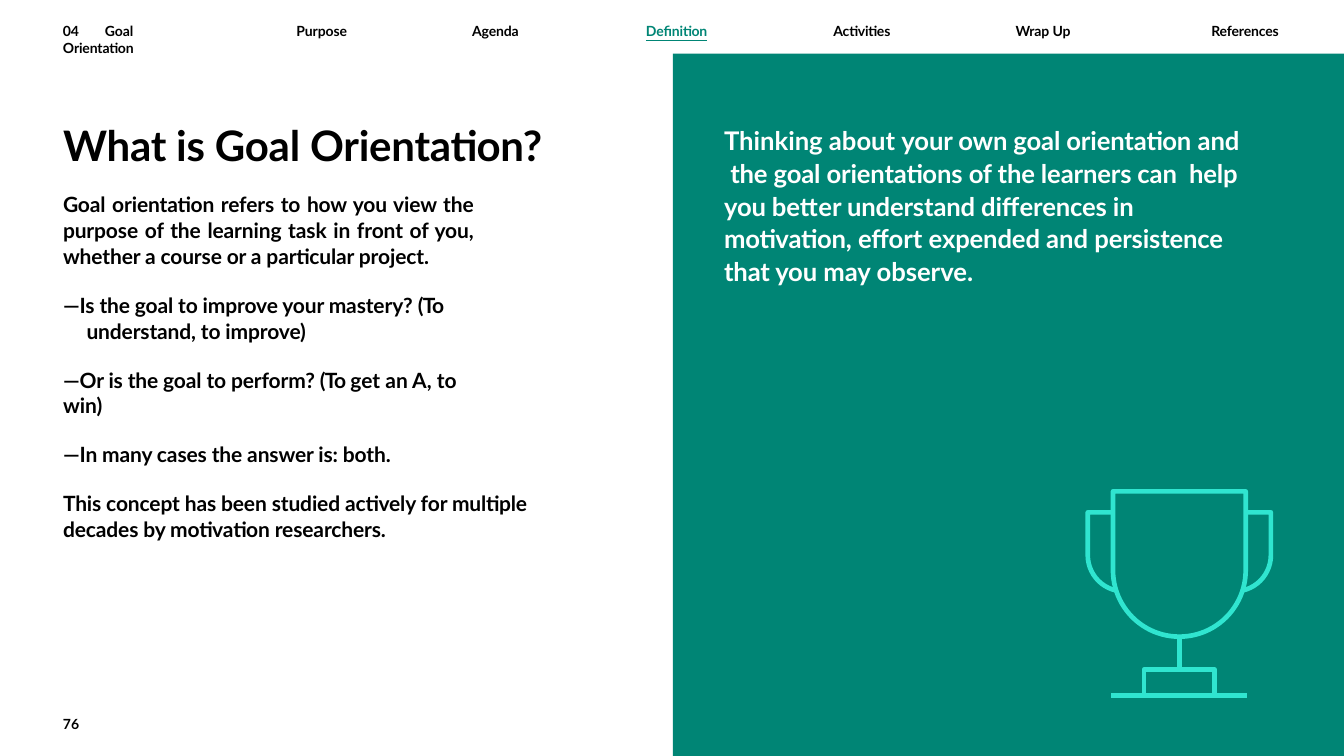
import math
from dataclasses import dataclass

import pptx
import pptx.dml.color
import pptx.enum.shapes
import pptx.enum.text
import pptx.oxml
import pptx.oxml.ns
import pptx.util

FONT = "Lato"
COLORS = {"ink": "000000", "teal": "008575", "paper": "FFFFFF", "mint": "30E5D0"}
COLUMNS, ROWS = 16, 9
COLUMN = ROW = pptx.util.Inches(1)
LEFT_MARGIN = 0.75
TOP_MARGIN = 0.27
NAV_HEIGHT = 0.21

Point = tuple[float, float]


@dataclass(frozen=True)
class Span:
    text: str
    tracking: float = -0.1


@dataclass(frozen=True)
class Statement:
    spans: tuple[Span, ...]
    justified: bool = False
    right_indent: float = 0
    hanging: float = 0


@dataclass(frozen=True)
class NavItem:
    label: str
    column: float
    width: float
    active: bool = False


@dataclass(frozen=True)
class TextStyle:
    size: float
    color: str = "ink"
    line_spacing: float = 1.0
    space_between: float = 0
    underline: bool = False


NAV_ITEMS = (
    NavItem("04\tGoal Orientation", LEFT_MARGIN, 1.7),
    NavItem("Purpose", 3.53, 0.7),
    NavItem("Agenda", 5.62, 0.65),
    NavItem("Definition", 7.69, 0.8, active=True),
    NavItem("Activities", 9.92, 0.75),
    NavItem("Wrap Up", 12.09, 0.75),
    NavItem("References", 14.42, 0.9),
)

QUESTION_INDENT = 0.89
EXPLANATION = (
    Statement((Span("Goal orientation refers to how you view the purpose of the learning "
                    "task in front of you, whether a course or a particular project."),),
              justified=True, right_indent=QUESTION_INDENT),
    Statement((Span("—Is the goal to improve your mastery? "), Span("(To ", -0.7),
               Span("understand, to improve)")),
              right_indent=QUESTION_INDENT, hanging=0.28),
    Statement((Span("—Or is the goal to perform? "), Span("(To ", -0.7),
               Span("get an A, to win)", 0)),
              right_indent=QUESTION_INDENT),
    Statement((Span("—In many cases the answer is: both."),)),
    Statement((Span("This concept has been studied actively for multiple "
                    "decades by motivation researchers."),)),
)

REFLECTION = (
    Statement((
        Span("Thinking about ", 0), Span("your own goal orientation "), Span("and  ", 0),
        Span("the goal orientations "), Span("of ", -0.2),
        Span("the learners can  help you better understand differences in motivation, "),
        Span("effort ", 0), Span("expended "), Span("and ", 0),
        Span("persistence that you "), Span("may observe.", 0),
    )),
)


def across(columns: float) -> int:
    return round(columns * COLUMN)


def down(rows: float) -> int:
    return round(rows * ROW)


def rgb(name: str) -> pptx.dml.color.RGBColor:
    return pptx.dml.color.RGBColor.from_string(COLORS[name])


def place(shape, left: float, top: float, width: float, height: float) -> None:
    shape.left, shape.top = across(left), down(top)
    shape.width, shape.height = across(width), down(height)


def write(shape, statements: tuple[Statement, ...], style: TextStyle) -> None:
    frame = shape.text_frame
    frame.word_wrap = True
    frame.auto_size = pptx.enum.text.MSO_AUTO_SIZE.NONE
    frame.vertical_anchor = pptx.enum.text.MSO_ANCHOR.TOP
    frame.margin_left = frame.margin_right = frame.margin_top = frame.margin_bottom = 0
    align = pptx.enum.text.PP_ALIGN
    for index, statement in enumerate(statements):
        paragraph = frame.add_paragraph() if index else frame.paragraphs[0]
        paragraph.alignment = align.JUSTIFY if statement.justified else align.LEFT
        paragraph.line_spacing = style.line_spacing
        if index:
            paragraph.space_before = pptx.util.Pt(style.space_between)
        properties = paragraph._p.get_or_add_pPr()
        properties.set("marR", str(across(statement.right_indent)))
        properties.set("marL", str(across(statement.hanging)))
        properties.set("indent", str(-across(statement.hanging)))
        for span in statement.spans:
            run = paragraph.add_run()
            run.text = span.text
            run.font.name = FONT
            run.font.size = pptx.util.Pt(style.size)
            run.font.bold = True
            run.font.underline = style.underline
            run.font.color.rgb = rgb(style.color)
            run._r.get_or_add_rPr().set("spc", str(round(span.tracking * 100)))


def add_text(slide, left: float, top: float, width: float, height: float,
             statements: tuple[Statement, ...], style: TextStyle):
    box = slide.shapes.add_textbox(0, 0, 0, 0)
    place(box, left, top, width, height)
    write(box, statements, style)
    return box


def add_nav_item(slide, item: NavItem) -> None:
    style = TextStyle(12, "teal" if item.active else "ink", underline=item.active)
    box = add_text(slide, item.column, TOP_MARGIN, item.width, NAV_HEIGHT,
                   (Statement((Span(item.label),)),), style)
    if "\t" in item.label:
        tabs = pptx.oxml.parse_xml(
            f'<a:tabLst {pptx.oxml.ns.nsdecls("a")}>'
            f'<a:tab pos="{across(0.37)}" algn="l"/></a:tabLst>')
        box.text_frame.paragraphs[0]._p.get_or_add_pPr().append(tabs)


def stroke(shape) -> None:
    shape.line.color.rgb = rgb("mint")
    shape.line.width = pptx.util.Pt(4)


def arc(center: Point, radius: float, start: int, end: int, steps: int) -> list[Point]:
    """Points along a circle, in degrees clockwise from the right."""
    angles = [math.radians(start + (end - start) * i / steps) for i in range(steps + 1)]
    return [(center[0] + radius * math.cos(a), center[1] + radius * math.sin(a))
            for a in angles]


def add_outline(slide, points: list[Point], closed: bool = False) -> None:
    (first_x, first_y), *rest = [(across(x), down(y)) for x, y in points]
    builder = slide.shapes.build_freeform(first_x, first_y, scale=1.0)
    builder.add_line_segments(rest, close=closed)
    outline = builder.convert_to_shape()
    outline.shadow.inherit = False
    if closed:
        outline.fill.solid()
        outline.fill.fore_color.rgb = rgb("teal")
    else:
        outline.fill.background()
    stroke(outline)


def add_stroke(slide, start: Point, end: Point) -> None:
    line = slide.shapes.add_connector(
        pptx.enum.shapes.MSO_CONNECTOR.STRAIGHT,
        across(start[0]), down(start[1]), across(end[0]), down(end[1]))
    stroke(line)
    line._element.spPr.append(
        pptx.oxml.parse_xml(f'<a:effectLst {pptx.oxml.ns.nsdecls("a")}/>'))


def add_trophy(slide) -> None:
    axis, rim, bowl, radius = 14.04, 5.85, 6.79, 0.79
    handle_top, handle_bend, handle_radius, handle_offset = 6.1, 6.61, 0.43, 0.66
    base_top, floor, base_half, floor_half = 7.97, 8.28, 0.42, 0.81

    left_handle = [(axis - handle_offset, handle_top),
                   (axis - handle_offset - handle_radius, handle_top),
                   *arc((axis - handle_offset, handle_bend), handle_radius, 180, 90, 14)]
    add_outline(slide, left_handle)
    add_outline(slide, [(2 * axis - x, y) for x, y in left_handle])
    add_outline(slide, [(axis - radius, rim), (axis + radius, rim),
                        *arc((axis, bowl), radius, 0, 180, 48)], closed=True)
    add_stroke(slide, (axis, bowl + radius), (axis, base_top))
    add_outline(slide, [(axis - base_half, floor), (axis - base_half, base_top),
                        (axis + base_half, base_top), (axis + base_half, floor)])
    add_stroke(slide, (axis - floor_half, floor), (axis + floor_half, floor))


def main() -> None:
    deck = pptx.Presentation()
    deck.slide_width, deck.slide_height = across(COLUMNS), down(ROWS)
    slide = deck.slides.add_slide(deck.slide_layouts[5])

    panel = slide.shapes.add_shape(pptx.enum.shapes.MSO_SHAPE.RECTANGLE, 0, 0, 0, 0)
    place(panel, 8.01, 0.64, COLUMNS - 8.01, ROWS - 0.64)
    panel.shadow.inherit = False
    panel.fill.solid()
    panel.fill.fore_color.rgb = rgb("teal")
    panel.line.fill.background()

    heading = slide.shapes.title
    place(heading, LEFT_MARGIN, 1.42, 6, 0.6)
    write(heading, (Statement((Span("What is Goal Orientation?", -0.2),)),), TextStyle(36))
    add_text(slide, LEFT_MARGIN, 2.28, 5.78, 4.2, EXPLANATION,
             TextStyle(18, line_spacing=1.02, space_between=20))
    for item in NAV_ITEMS:
        add_nav_item(slide, item)
    add_text(slide, 8.62, 1.47, 6.17, 1.95, REFLECTION,
             TextStyle(22, "paper", line_spacing=1.06))
    add_trophy(slide)
    add_text(slide, LEFT_MARGIN, 8.52, 0.3, NAV_HEIGHT,
             (Statement((Span("76", 0),)),), TextStyle(12))
    deck.save("out.pptx")


if __name__ == "__main__":
    main()
